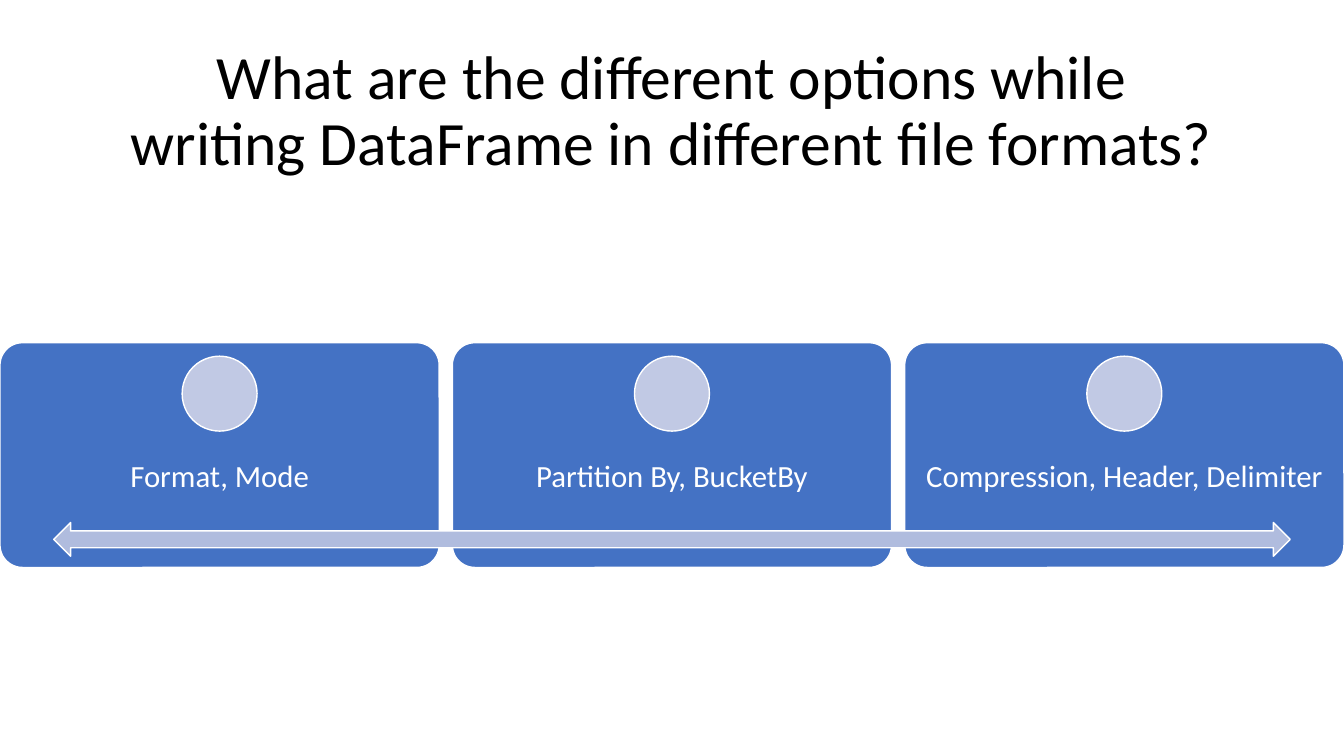
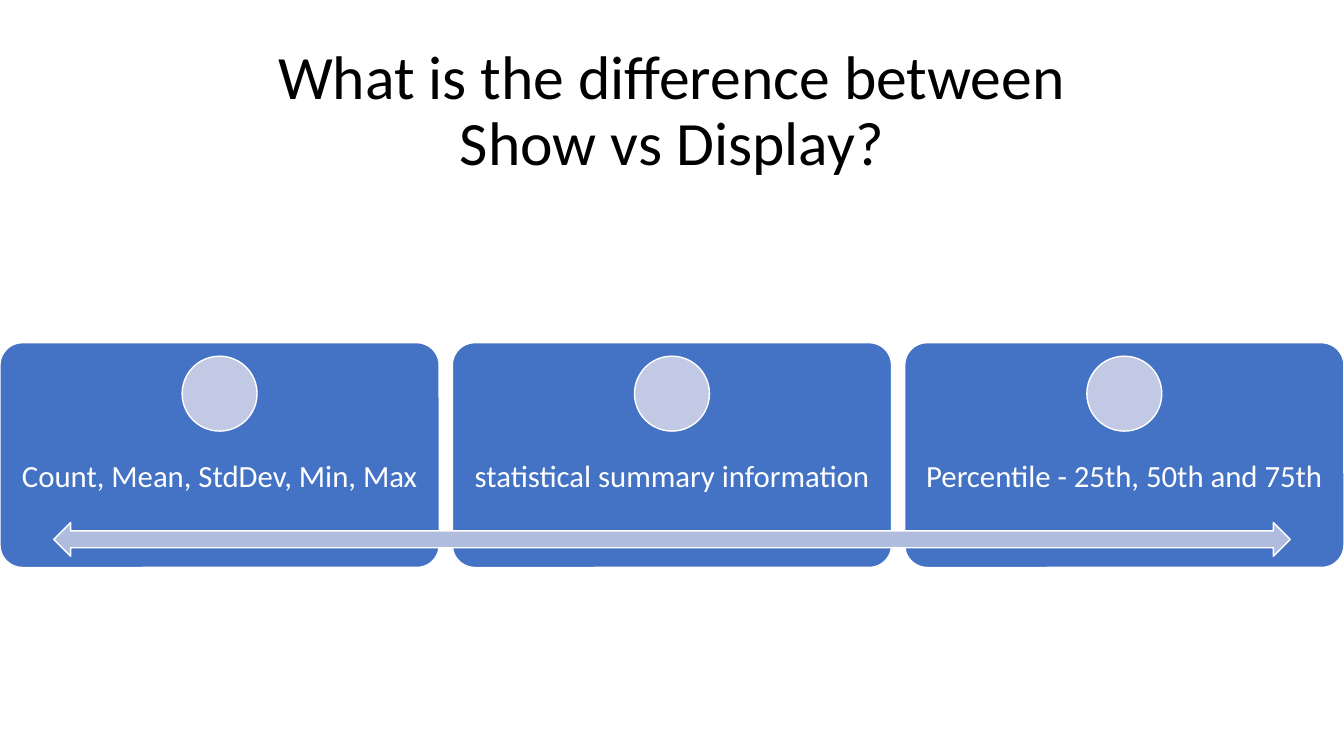
from pptx import Presentation
from pptx.dml.color import RGBColor
from pptx.enum.shapes import MSO_SHAPE
from pptx.enum.text import MSO_ANCHOR, PP_ALIGN
from pptx.util import Inches, Pt

ROUNDED = MSO_SHAPE.ROUNDED_RECTANGLE
OVAL = MSO_SHAPE.OVAL
DOUBLE_ARROW = MSO_SHAPE.LEFT_RIGHT_ARROW
MIDDLE = MSO_ANCHOR.MIDDLE
CENTER = PP_ALIGN.CENTER

BLACK = RGBColor(0x00, 0x00, 0x00)
WHITE = RGBColor(0xFF, 0xFF, 0xFF)
CARD_BLUE = RGBColor(0x44, 0x72, 0xC4)
CIRCLE_BLUE = RGBColor(0xC1, 0xC9, 0xE4)
ARROW_BLUE = RGBColor(0xB0, 0xBC, 0xDE)

FONT = "Calibri"
SLIDE_WIDTH, SLIDE_HEIGHT = 13.33, 7.5
TITLE_BOX = (0, 0, SLIDE_WIDTH, 2.23)
CARDS_BOX = (0, 3.4, SLIDE_WIDTH, 2.23)
CARD_GAP = 0.13

SLIDES = [
    (
        "What are the different options while\vwriting DataFrame in different file formats?",
        ["Format, Mode", "Partition By, BucketBy", "Compression, Header, Delimiter"],
    ),
    (
        "What is the difference between\vShow vs Display?",
        [
            "Count, Mean, StdDev, Min, Max",
            "statistical summary information",
            "Percentile - 25th, 50th and 75th",
        ],
    ),
]


def add_filled_shape(page, kind, box, fill):
    """Draw a preset shape with a solid fill and a thin white outline."""
    shape = page.shapes.add_shape(kind, *map(Inches, box))
    shape.shadow.inherit = False
    shape.fill.solid()
    shape.fill.fore_color.rgb = fill
    shape.line.color.rgb = WHITE
    shape.line.width = Pt(1)
    return shape


def add_centered_text(page, box, text, size, color, inset):
    """Place text in the middle of a box."""
    frame = page.shapes.add_textbox(*map(Inches, box)).text_frame
    frame.word_wrap = True
    frame.vertical_anchor = MIDDLE
    frame.margin_left = frame.margin_right = Inches(inset)
    frame.margin_top = frame.margin_bottom = Inches(inset)
    para = frame.paragraphs[0]
    para.text = text
    para.alignment = CENTER
    para.line_spacing = 0.9
    para.font.name = FONT
    para.font.size = Pt(size)
    para.font.color.rgb = color


def add_card(page, box, label):
    """Draw a rounded card with a circle above its label."""
    left, top, width, height = box
    card = add_filled_shape(page, ROUNDED, box, CARD_BLUE)
    card.adjustments[0] = 0.1
    label_box = (left, top + 0.4 * height, width, 0.4 * height)
    add_centered_text(page, label_box, label, 22, WHITE, 0.17)
    diameter = height / 3
    circle_left = left + (width - diameter) / 2
    circle_box = (circle_left, top + 0.06 * height, diameter, diameter)
    add_filled_shape(page, OVAL, circle_box, CIRCLE_BLUE)


def add_card_row(page, box, labels):
    """Spread equal cards over a box and lay a double arrow across them."""
    left, top, width, height = box
    card_width = (width - CARD_GAP * (len(labels) - 1)) / len(labels)
    for column, label in enumerate(labels):
        card_left = left + column * (card_width + CARD_GAP)
        add_card(page, (card_left, top, card_width, height), label)
    arrow_box = (left + 0.04 * width, top + 0.8 * height, 0.92 * width, 0.15 * height)
    add_filled_shape(page, DOUBLE_ARROW, arrow_box, ARROW_BLUE)


def add_question_slide(deck, title, labels):
    """Add a slide with a question above a row of cards."""
    page = deck.slides.add_slide(deck.slide_layouts[6])
    add_centered_text(page, TITLE_BOX, title, 44, BLACK, 0.05)
    add_card_row(page, CARDS_BOX, labels)


def main():
    """Build and save the deck."""
    deck = Presentation()
    deck.slide_width = Inches(SLIDE_WIDTH)
    deck.slide_height = Inches(SLIDE_HEIGHT)
    for title, labels in SLIDES:
        add_question_slide(deck, title, labels)
    deck.save("out.pptx")


if __name__ == "__main__":
    main()
